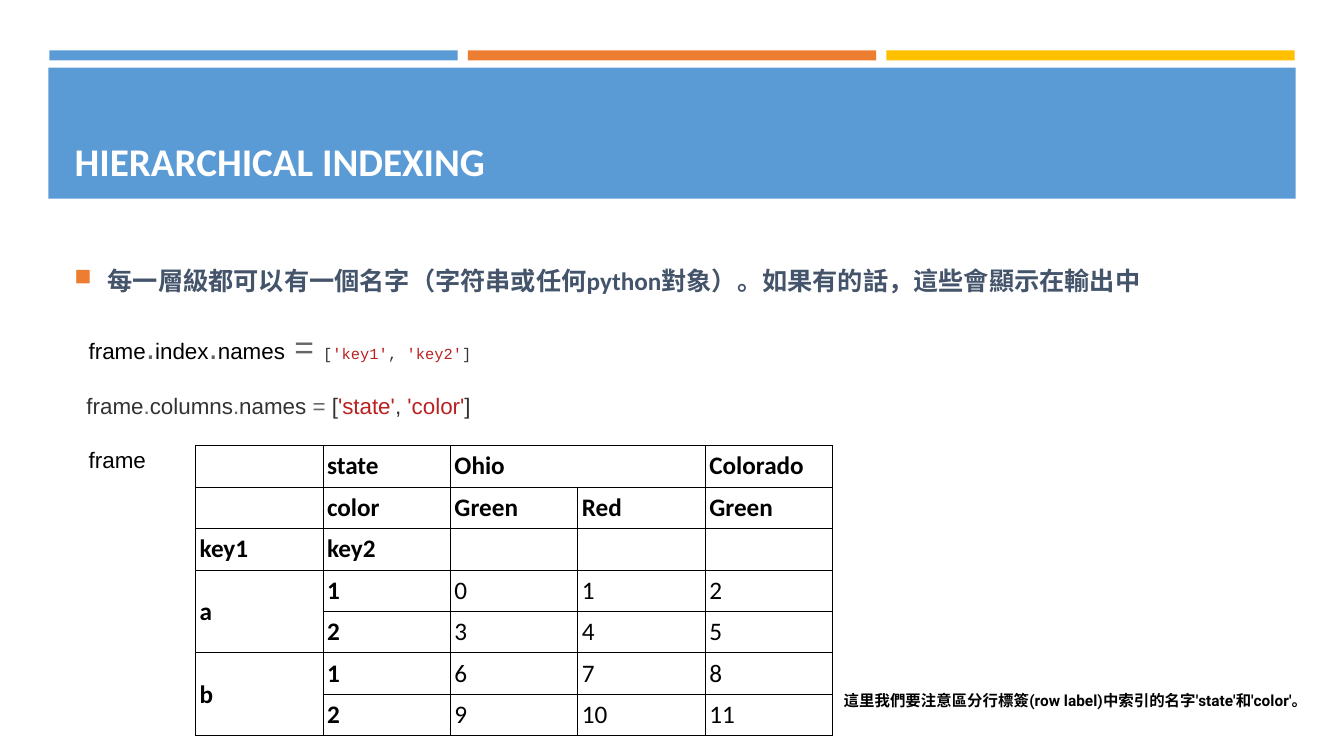
from lxml import etree
from pptx import Presentation
from pptx.dml.color import RGBColor
from pptx.enum.shapes import MSO_SHAPE
from pptx.enum.text import MSO_ANCHOR, MSO_AUTO_SIZE, PP_ALIGN
from pptx.oxml.ns import qn
from pptx.util import Inches, Pt

RECT = MSO_SHAPE.RECTANGLE
MIDDLE, BOTTOM, TOP = MSO_ANCHOR.MIDDLE, MSO_ANCHOR.BOTTOM, MSO_ANCHOR.TOP
LEFT = PP_ALIGN.LEFT
NO_FIT = MSO_AUTO_SIZE.NONE

BLUE = RGBColor(0x5B, 0x9B, 0xD5)
ORANGE = RGBColor(0xED, 0x7D, 0x31)
GOLD = RGBColor(0xFF, 0xC0, 0x00)
SLATE = RGBColor(0x44, 0x54, 0x6A)
WHITE = RGBColor(0xFF, 0xFF, 0xFF)
BLACK = RGBColor(0x00, 0x00, 0x00)
INK = RGBColor(0x33, 0x33, 0x33)
GRAY = RGBColor(0x66, 0x66, 0x66)
RED = RGBColor(0xBA, 0x21, 0x21)

SANS, CODE, MONO, NOTE = "Calibri", "Arial", "Courier New", "Roboto"


class SlideBuilder:
    def __init__(self, slide):
        self.slide = slide

    def bar(self, left, top, width, height, color):
        bar = self.slide.shapes.add_shape(
            RECT, Inches(left), Inches(top), Inches(width), Inches(height))
        bar.shadow.inherit = False
        bar.fill.solid()
        bar.fill.fore_color.rgb = color
        bar.line.fill.background()

    def run(self, paragraph, text, font, size, color, bold=False):
        run = paragraph.add_run()
        run.text = text
        style = {"name": font, "size": Pt(size), "bold": bold}
        for key, value in style.items():
            setattr(run.font, key, value)
        run.font.color.rgb = color

    def fill_frame(self, frame, runs, anchor, inset=None):
        settings = {"word_wrap": True, "auto_size": NO_FIT,
                    "vertical_anchor": anchor}
        if inset is not None:
            for side in ("left", "right", "top", "bottom"):
                settings[f"margin_{side}"] = Inches(inset)
        for key, value in settings.items():
            setattr(frame, key, value)
        paragraph = frame.paragraphs[0]
        paragraph.alignment = LEFT
        for run in runs:
            self.run(paragraph, *run)
        return paragraph

    def title(self, box, run):
        title = self.slide.shapes.title
        for key, value in zip(("left", "top", "width", "height"), box):
            setattr(title, key, Inches(value))
        # Bring the title in front of the band
        title.element.getparent().append(title.element)
        self.fill_frame(title.text_frame, [run], BOTTOM)

    def text(self, box, runs, anchor=MIDDLE, inset=None):
        textbox = self.slide.shapes.add_textbox(*map(Inches, box))
        return self.fill_frame(textbox.text_frame, runs, anchor, inset)

    def bullet(self, box, run):
        paragraph = self.text(box, [run])
        paragraph.space_after = Pt(6)
        props = paragraph._p.get_or_add_pPr()
        props.set("marL", str(Inches(0.33)))
        props.set("indent", str(-Inches(0.33)))
        color = etree.SubElement(props, qn("a:buClr"))
        etree.SubElement(color, qn("a:srgbClr"), val=str(ORANGE))
        etree.SubElement(props, qn("a:buSzPct"), val="92000")
        etree.SubElement(props, qn("a:buChar"), char="■")

    def cell(self, cell, text, bold):
        props = cell._tc.get_or_add_tcPr()
        for edge in ("lnL", "lnR", "lnT", "lnB"):
            line = etree.SubElement(props, qn(f"a:{edge}"), w=str(Pt(0.75)))
            fill = etree.SubElement(line, qn("a:solidFill"))
            etree.SubElement(fill, qn("a:srgbClr"), val=str(BLACK))
        cell.fill.solid()
        cell.fill.fore_color.rgb = WHITE
        cell.vertical_anchor = MIDDLE
        for side in ("left", "right", "top", "bottom"):
            setattr(cell, f"margin_{side}", Inches(0.04))
        if text:
            self.run(cell.text_frame.paragraphs[0], text, SANS, 18, BLACK, bold)

    def table(self, box, rows, merges, head_rows, head_cols):
        table = self.slide.shapes.add_table(
            len(rows), len(rows[0]), *map(Inches, box)).table
        table.first_row = table.horz_banding = False
        for r, row in enumerate(rows):
            for c, text in enumerate(row):
                self.cell(table.cell(r, c), text, r < head_rows or c < head_cols)
        for start, end in merges:
            table.cell(*start).merge(table.cell(*end))


def main():
    prs = Presentation()
    prs.slide_width, prs.slide_height = Inches(13.33), Inches(7.5)
    page = SlideBuilder(prs.slides.add_slide(prs.slide_layouts[5]))

    # Header stripes, band and title
    for i, color in enumerate((BLUE, ORANGE, GOLD)):
        page.bar(0.49 + i * 4.15, 0.5, 4.05, 0.1, color)
    page.bar(0.48, 0.67, 12.37, 1.3, BLUE)
    page.title((0.64, 0.77, 12.06, 1.11),
               ("HIERARCHICAL INDEXING", SANS, 28, WHITE, True))

    # Main point
    page.bullet((0.64, 0.77, 12.06, 4.02),
                ("每一層級都可以有一個名字（字符串或任何python對象）。如果有的話，這些會顯示在輸出中",
                 SANS, 18, SLATE, True))

    # Code lines
    page.text((0.88, 3.23, 3.87, 0.4), [
        ("frame", CODE, 16, BLACK), (".", CODE, 24, GRAY),
        ("index", CODE, 16, BLACK), (".", CODE, 24, GRAY),
        ("names", CODE, 16, BLACK), (" ", MONO, 11, INK),
        ("=", CODE, 24, GRAY), (" [", MONO, 11, INK),
        ("'key1'", MONO, 11, RED), (", ", MONO, 11, INK),
        ("'key2'", MONO, 11, RED), ("]", MONO, 11, INK)], inset=0)
    columns_code = [
        ("frame", INK), (".", GRAY), ("columns", INK), (".", GRAY),
        ("names ", INK), ("=", GRAY), (" [", INK), ("'state'", RED),
        (", ", INK), ("'color'", RED), ("]", INK)]
    page.text((0.76, 3.57, 6.67, 0.64),
              [(text, CODE, 16, color) for text, color in columns_code], BOTTOM)
    page.text((0.88, 4.42, 0.61, 0.27), [("frame", CODE, 16, BLACK)], inset=0)

    # Resulting frame
    frame_rows = [
        ("", "state", "Ohio", "", "Colorado"),
        ("", "color", "Green", "Red", "Green"),
        ("key1", "key2", "", "", ""),
        ("a", "1", "0", "1", "2"),
        ("", "2", "3", "4", "5"),
        ("b", "1", "6", "7", "8"),
        ("", "2", "9", "10", "11")]
    frame_merges = [((0, 2), (0, 3)), ((3, 0), (4, 0)), ((5, 0), (6, 0))]
    page.table((1.94, 4.42, 6.32, 2.88), frame_rows, frame_merges,
               head_rows=3, head_cols=2)

    # Remark beside the table
    page.text((8.27, 6.81, 6.67, 0.29),
              [("這里我們要注意區分行標簽(row label)中索引的名字'state'和'color'。",
                NOTE, 11, BLACK, True)], TOP)

    prs.save("out.pptx")


if __name__ == "__main__":
    main()
